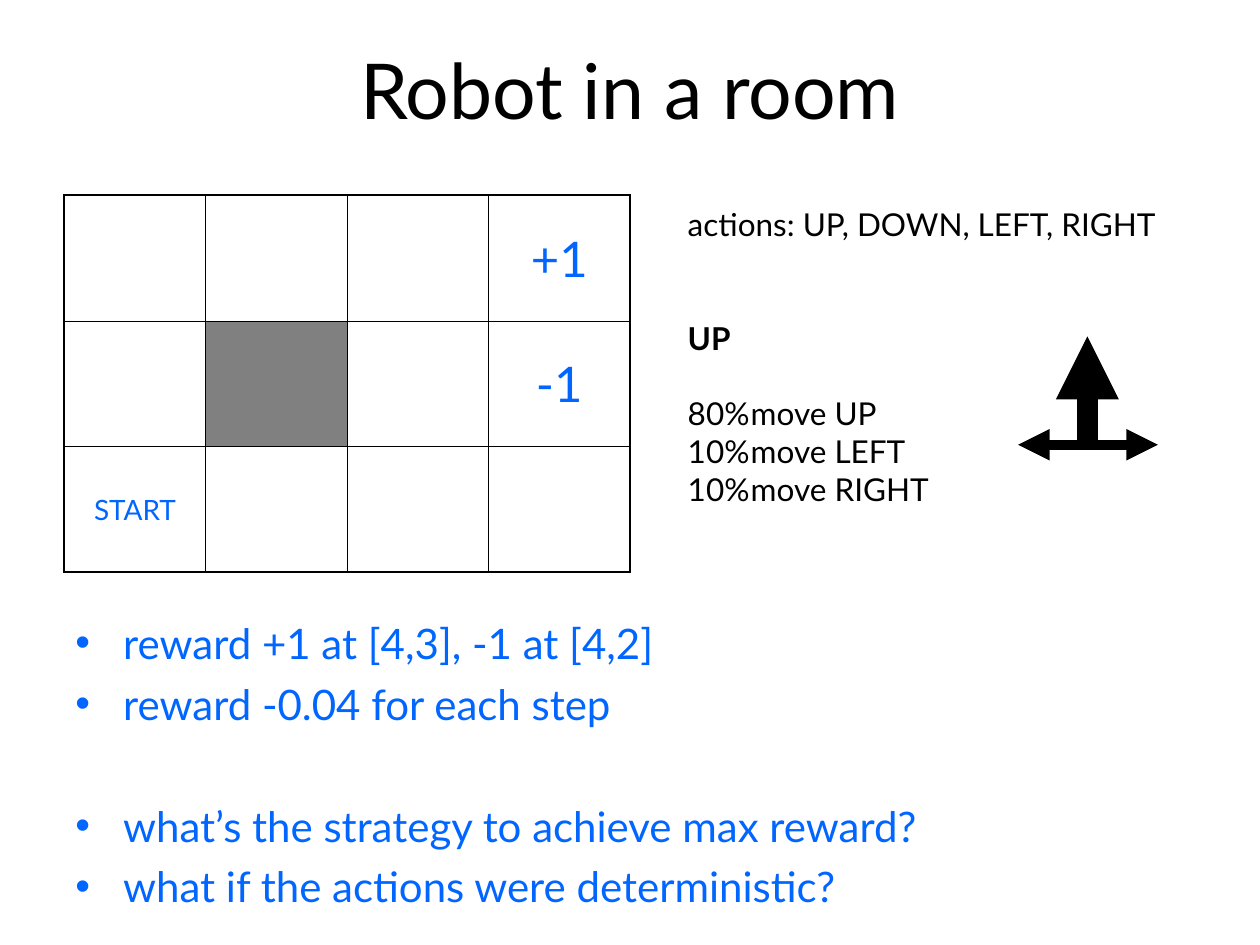
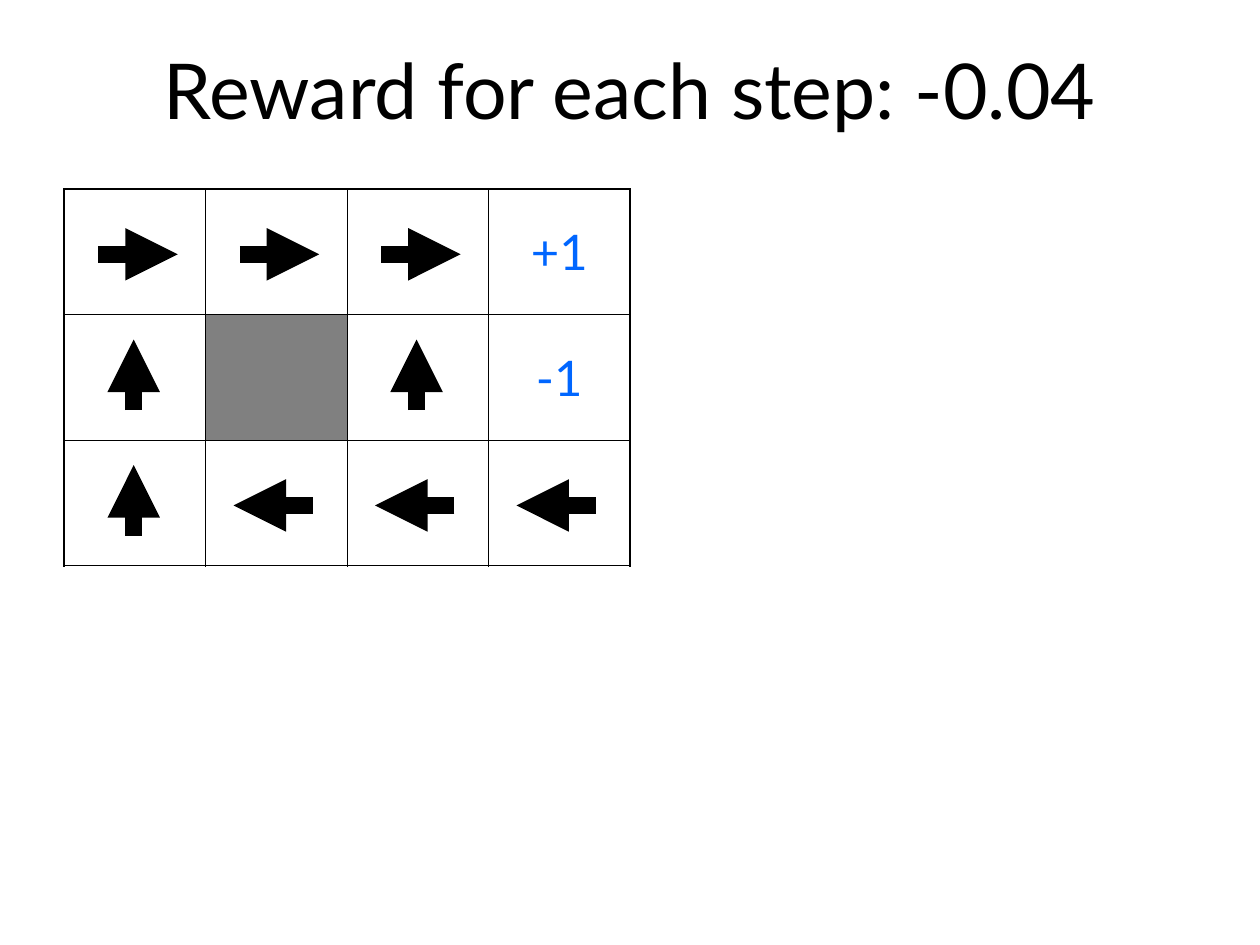
from dataclasses import dataclass
from typing import NamedTuple

from lxml import etree
from pptx import Presentation
from pptx.dml.color import RGBColor
from pptx.enum.shapes import MSO_CONNECTOR
from pptx.enum.text import MSO_ANCHOR, PP_ALIGN
from pptx.oxml.ns import qn
from pptx.util import Emu, Inches, Pt

STRAIGHT = MSO_CONNECTOR.STRAIGHT
TOP, MIDDLE = MSO_ANCHOR.TOP, MSO_ANCHOR.MIDDLE
LEFT_ALIGNED, CENTERED = PP_ALIGN.LEFT, PP_ALIGN.CENTER

SLIDE_WIDTH, SLIDE_HEIGHT = Inches(10), Inches(7.5)
GRID_COLUMNS, GRID_ROWS = 20, 15


@dataclass(frozen=True)
class Theme:
    font: str = "Lato"
    ink: str = "000000"
    accent: str = "0066FF"
    wall: str = "808080"
    title_size: float = 44
    reward_size: float = 28
    body_size: float = 24
    note_size: float = 18
    start_size: float = 16
    line_height: float = 1.2
    body_gap: float = 6
    outer_border: float = 1.08
    inner_border: float = 0.45


THEME = Theme()


class Point(NamedTuple):
    column: float
    row: float


class Box(NamedTuple):
    column: float
    row: float
    columns: float
    rows: float


class Line(NamedTuple):
    """A paragraph; skipped is the number of empty lines left above it."""
    text: str
    skipped: int = 0
    bold: bool = False


class Style(NamedTuple):
    size: float
    color: str
    align: PP_ALIGN = LEFT_ALIGNED
    anchor: MSO_ANCHOR = TOP
    gap: float = 0
    bulleted: bool = False


class Move(NamedTuple):
    """Arrow from start to end, measured from the middle of its room cell."""
    start: Point
    end: Point


class Arrow(NamedTuple):
    start: Point
    end: Point
    weight: float


TITLE_BOX = Box(1, 0.16, 18, 2.5)
NOTES_BOX = Box(10.72, 3.16, 8.44, 5)
BODY_BOX = Box(1, 9.7, 18, 5.3)
ROOM_COLUMNS, ROOM_ROWS = 4, 3
FIRST_ROOM = Box(1.02, 3.1, 8.98, 5.98)
POLICY_ROOM = FIRST_ROOM._replace(row=3)
WALL_CELL = (1, 1)

TITLE = Style(THEME.title_size, THEME.ink, CENTERED, MIDDLE)
NOTES = Style(THEME.note_size, THEME.ink)
BODY = Style(THEME.body_size, THEME.accent, gap=THEME.body_gap, bulleted=True)
REWARD = Style(THEME.reward_size, THEME.accent, CENTERED, MIDDLE)
START = REWARD._replace(size=THEME.start_size)

REWARDS = {(0, 3): ("+1", REWARD), (1, 3): ("-1", REWARD)}
REWARDS_AND_START = {**REWARDS, (2, 0): ("START", START)}

ACTION_NOTES = [
    Line("actions: UP, DOWN, LEFT, RIGHT"),
    Line("UP", skipped=2, bold=True),
    Line("80%\tmove UP", skipped=1),
    Line("10%\tmove LEFT"),
    Line("10%\tmove RIGHT"),
]
QUESTIONS = [
    Line("reward +1 at [4,3], -1 at [4,2]"),
    Line("reward -0.04 for each step"),
    Line("what’s the strategy to achieve max reward?", skipped=1),
    Line("what if the actions were deterministic?"),
]

FORK = Point(17.26, 7.06)
OUTCOME_ARROWS = [
    Arrow(FORK, Point(FORK.column, 5.34), 12),
    Arrow(FORK, Point(18.38, FORK.row), 6),
    Arrow(Point(17.42, FORK.row), Point(16.16, FORK.row), 6),
]

GO_RIGHT = Move(Point(-0.58, 0.04), Point(0.68, 0.04))
GO_LEFT = Move(Point(0.58, 0.04), Point(-0.68, 0.04))
GO_UP = Move(Point(-0.02, 0.52), Point(-0.02, -0.6))
POLICY = [
    [GO_RIGHT, GO_RIGHT, GO_RIGHT, None],
    [GO_UP, None, GO_UP, None],
    [GO_UP, GO_LEFT, GO_LEFT, GO_LEFT],
]
POLICY_WEIGHT = 10


def across(columns: float) -> Emu:
    return Emu(round(SLIDE_WIDTH * columns / GRID_COLUMNS))


def down(rows: float) -> Emu:
    return Emu(round(SLIDE_HEIGHT * rows / GRID_ROWS))


def place(box: Box) -> tuple[Emu, Emu, Emu, Emu]:
    return across(box.column), down(box.row), across(box.columns), down(box.rows)


def add_bullet(paragraph, color: str) -> None:
    properties = paragraph._p.get_or_add_pPr()
    indent = Inches(0.38)
    properties.set("marL", str(indent))
    properties.set("indent", str(-indent))
    bullet_color = etree.SubElement(properties, qn("a:buClr"))
    etree.SubElement(bullet_color, qn("a:srgbClr"), val=color)
    etree.SubElement(properties, qn("a:buFont"), typeface="Arial")
    etree.SubElement(properties, qn("a:buChar"), char="•")


def write(frame, lines: list[Line], style: Style) -> None:
    for index, line in enumerate(lines):
        paragraph = frame.add_paragraph() if index else frame.paragraphs[0]
        paragraph.text = line.text
        paragraph.alignment = style.align
        if style.bulleted:
            add_bullet(paragraph, style.color)
        if index:
            skipped_line = style.size * THEME.line_height + style.gap
            paragraph.space_before = Pt(style.gap + line.skipped * skipped_line)
        font = paragraph.font
        font.name, font.size, font.bold = THEME.font, Pt(style.size), line.bold
        font.color.rgb = RGBColor.from_string(style.color)


def add_text(slide, box: Box, lines: list[Line], style: Style) -> None:
    frame = slide.shapes.add_textbox(*place(box)).text_frame
    frame.word_wrap = True
    frame.vertical_anchor = style.anchor
    write(frame, lines, style)


def add_arrow(shapes, arrow: Arrow) -> None:
    connector = shapes.add_connector(
        STRAIGHT, across(arrow.start.column), down(arrow.start.row),
        across(arrow.end.column), down(arrow.end.row))
    connector.line.color.rgb = RGBColor.from_string(THEME.ink)
    connector.line.width = Pt(arrow.weight)
    etree.SubElement(connector.line._get_or_add_ln(), qn("a:tailEnd"), type="triangle")
    etree.SubElement(connector._element.spPr, qn("a:effectLst"))


def add_borders(cell, row: int, column: int) -> None:
    """Draw heavy edges around the room and fine ones between its cells."""
    on_outside = {
        "a:lnL": column == 0, "a:lnR": column == ROOM_COLUMNS - 1,
        "a:lnT": row == 0, "a:lnB": row == ROOM_ROWS - 1,
    }
    properties = cell._tc.get_or_add_tcPr()
    for position, (edge, outside) in enumerate(on_outside.items()):
        weight = THEME.outer_border if outside else THEME.inner_border
        border = etree.Element(qn(edge), w=str(Pt(weight)))
        fill = etree.SubElement(border, qn("a:solidFill"))
        etree.SubElement(fill, qn("a:srgbClr"), val=THEME.ink)
        properties.insert(position, border)


def add_room(slide, box: Box, labels: dict) -> None:
    room = slide.shapes.add_table(ROOM_ROWS, ROOM_COLUMNS, *place(box)).table
    room.first_row = room.horz_banding = False
    for row in range(ROOM_ROWS):
        for column in range(ROOM_COLUMNS):
            cell = room.cell(row, column)
            if (row, column) == WALL_CELL:
                cell.fill.solid()
                cell.fill.fore_color.rgb = RGBColor.from_string(THEME.wall)
            else:
                cell.fill.background()
            add_borders(cell, row, column)
            if (row, column) in labels:
                label, style = labels[row, column]
                cell.vertical_anchor = style.anchor
                write(cell.text_frame, [Line(label)], style)


def add_policy(slide, box: Box) -> None:
    cell_columns, cell_rows = box.columns / ROOM_COLUMNS, box.rows / ROOM_ROWS
    for row, moves in enumerate(POLICY):
        for column, move in enumerate(moves):
            if move:
                middle = Point(box.column + (column + 0.5) * cell_columns,
                               box.row + (row + 0.5) * cell_rows)
                start, end = (Point(middle.column + offset.column, middle.row + offset.row)
                              for offset in move)
                add_arrow(slide.shapes, Arrow(start, end, POLICY_WEIGHT))


def add_titled_slide(deck, title: str):
    slide = deck.slides.add_slide(deck.slide_layouts[6])
    add_text(slide, TITLE_BOX, [Line(title)], TITLE)
    return slide


def add_room_slide(deck) -> None:
    slide = add_titled_slide(deck, "Robot in a room")
    add_room(slide, FIRST_ROOM, REWARDS_AND_START)
    outcomes = slide.shapes.add_group_shape()
    for arrow in OUTCOME_ARROWS:
        add_arrow(outcomes.shapes, arrow)
    add_text(slide, NOTES_BOX, ACTION_NOTES, NOTES)
    add_text(slide, BODY_BOX, QUESTIONS, BODY)


def add_policy_slide(deck) -> None:
    slide = add_titled_slide(deck, "Reward for each step: -0.04")
    add_room(slide, POLICY_ROOM, REWARDS)
    add_policy(slide, POLICY_ROOM)


def main() -> None:
    deck = Presentation()
    deck.slide_width, deck.slide_height = SLIDE_WIDTH, SLIDE_HEIGHT
    add_room_slide(deck)
    add_policy_slide(deck)
    deck.save("out.pptx")


if __name__ == "__main__":
    main()
